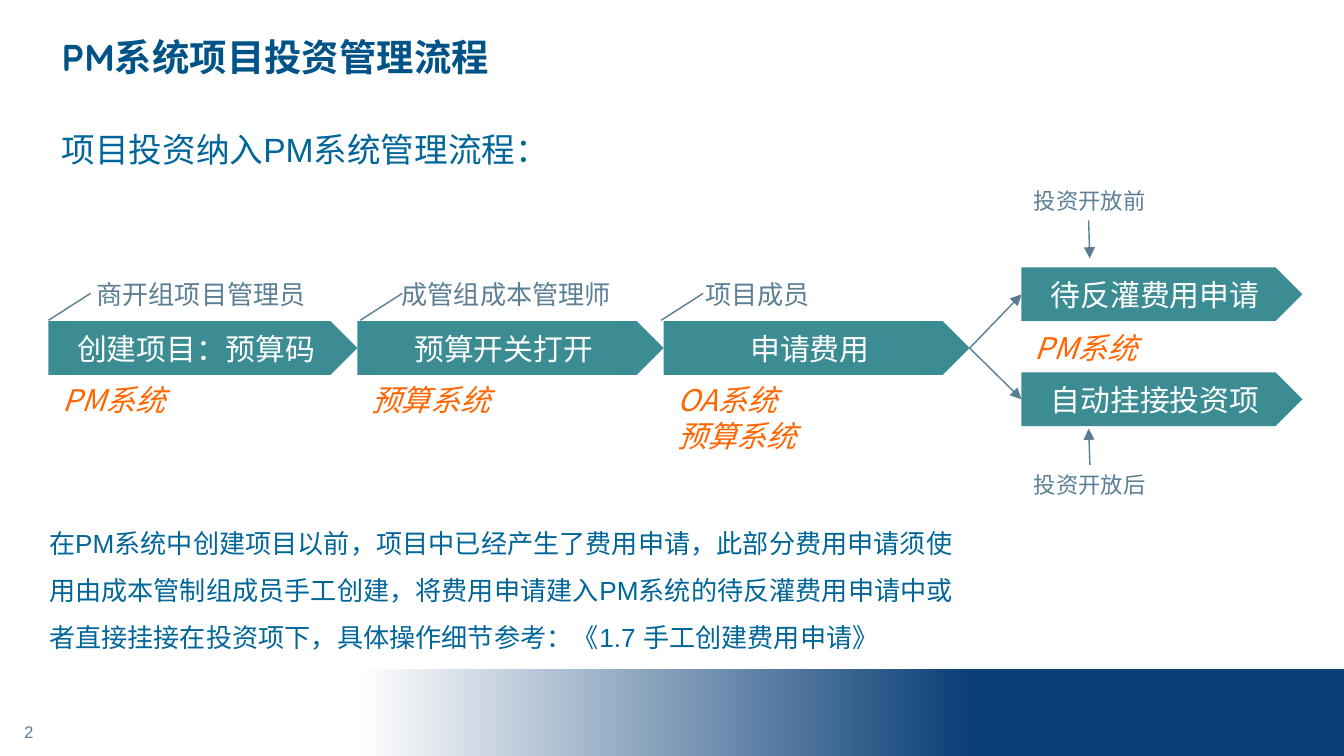
from pptx import Presentation
from pptx.dml.color import RGBColor
from pptx.enum import shapes, text
from pptx.oxml.ns import qn
from pptx.util import Pt
from lxml import etree

TITLE = "PM系统项目投资管理流程"
SUBTITLE = "项目投资纳入PM系统管理流程："
PAGE = "2"
NOTE = (
    "在PM系统中创建项目以前，项目中已经产生了费用申请，此部分费用申请须"
    "使用由成本管制组成员手工创建，将费用申请建入PM系统的待反灌费用申请"
    "中或者直接挂接在投资项下，具体操作细节参考：《1.7 手工创建费用申请》"
)
STEPS = [
    {"name": "创建项目：预算码", "role": "商开组项目管理员", "systems": ["PM系统"],
     "width": 165.5, "role_x": 44.6, "leader_x": 26},
    {"name": "预算开关打开", "role": "成管组成本管理师", "systems": ["预算系统"],
     "width": 164, "role_x": 208.1, "leader_x": 193},
    {"name": "申请费用", "role": "项目成员", "systems": ["OA系统", "预算系统"],
     "width": 164, "role_x": 370.8, "leader_x": 354.2},
]
BRANCHES = [
    {"name": "待反灌费用申请", "y": 143.3, "when": "投资开放前",
     "when_y": 96.5, "arrow": (583.2, 118.1, 583.8, 138.4)},
    {"name": "自动挂接投资项", "y": 199.5, "when": "投资开放后",
     "when_y": 249.1, "arrow": (583.9, 249.1, 583.2, 229.7)},
]
BRANCH_SYSTEM = "PM系统"

THEME = {
    "teal": "3C8C93", "line": "587D93", "white": "FFFFFF", "navy": "0B3F77",
    "east_asian": "Noto Sans CJK SC", "line_width": 0.75,
    "title": {"size": 20, "name": "Quicksand", "color": "005386", "bold": True},
    "subtitle": {"size": 18, "name": "Arial", "color": "006699"},
    "body": {"size": 14, "name": "Arial", "color": "006699"},
    "step": {"size": 16, "name": "Calibri", "color": "FFFFFF"},
    "system": {"size": 16, "name": "Noto Sans CJK SC", "color": "FF6600", "italic": True},
    "role": {"size": 14, "name": "Calibri", "color": "5B7F95"},
    "when": {"size": 12, "name": "Arial", "color": "5B7F95"},
    "page": {"size": 9, "name": "Arial", "color": "5B7F95"},
}
STEP_X, STEP_Y, STEP_H = 26, 172.1, 28.8
BRANCH_X, BRANCH_W = 547.2, 150.5

prs = Presentation()
prs.slide_width, prs.slide_height = Pt(720), Pt(405)
s = prs.slides.add_slide(prs.slide_layouts[6])


def rgb(value):
    return RGBColor.from_string(value)


def write(sp, lines, style, align=None, anchor=None, spacing=None):
    tf = sp.text_frame
    tf.word_wrap = True
    if anchor is not None:
        tf.vertical_anchor = anchor
    for i, line in enumerate(lines):
        p = tf.add_paragraph() if i else tf.paragraphs[0]
        p.alignment = align
        p.line_spacing = spacing
        r = p.add_run()
        r.text = line
        for key, value in THEME[style].items():
            if key == "color":
                r.font.color.rgb = rgb(value)
            else:
                setattr(r.font, key, Pt(value) if key == "size" else value)
        ea = etree.SubElement(r.font._element, qn("a:ea"))
        ea.set("typeface", THEME["east_asian"])


def add_text(x, y, w, h, lines, style, **layout):
    sp = s.shapes.add_textbox(Pt(x), Pt(y), Pt(w), Pt(h))
    write(sp, lines, style, **layout)
    return sp


def add_shape(kind, x, y, w, h):
    sp = s.shapes.add_shape(kind, Pt(x), Pt(y), Pt(w), Pt(h))
    sp.shadow.inherit = False
    sp.line.fill.background()
    return sp


def add_step(x, y, w, name):
    sp = add_shape(shapes.MSO_SHAPE.PENTAGON, x, y, w, STEP_H)
    sp.fill.solid()
    sp.fill.fore_color.rgb = rgb(THEME["teal"])
    write(sp, [name], "step", align=text.PP_ALIGN.CENTER, anchor=text.MSO_ANCHOR.MIDDLE)
    return sp


def add_line(x1, y1, x2, y2, arrow=False):
    c = s.shapes.add_connector(shapes.MSO_CONNECTOR.STRAIGHT, Pt(x1), Pt(y1), Pt(x2), Pt(y2))
    c.line.color.rgb = rgb(THEME["line"])
    c.line.width = Pt(THEME["line_width"])
    if arrow:
        etree.SubElement(c.line._get_or_add_ln(), qn("a:tailEnd")).set("type", "triangle")
    etree.SubElement(c._element.spPr, qn("a:effectLst"))
    return c


band = add_shape(shapes.MSO_SHAPE.RECTANGLE, 26, 358.4, 694, 46.6)
band.fill.gradient()
band.fill.gradient_angle = 0
for stop, position, color in zip(band.fill.gradient_stops, (0.24, 0.71), ("white", "navy")):
    stop.position = position
    stop.color.rgb = rgb(THEME[color])

add_text(0, 378, 31, 28, [PAGE], "page",
         align=text.PP_ALIGN.CENTER, anchor=text.MSO_ANCHOR.MIDDLE)
add_text(26, 6.5, 541.5, 47.5, [TITLE], "title", anchor=text.MSO_ANCHOR.MIDDLE)
add_text(26, 54.7, 653, 36, [SUBTITLE], "subtitle", spacing=1.5)
add_text(19.2, 270.7, 500.4, 83.5, [NOTE], "body", spacing=1.5)

x = STEP_X
for step in STEPS:
    last = add_step(x, STEP_Y, step["width"], step["name"])
    add_text(x + 0.3, STEP_Y + STEP_H, 95, 26.6 * len(step["systems"]), step["systems"], "system")
    add_text(step["role_x"], 145.4, 128.2, 24.5, [step["role"]], "role")
    add_line(step["leader_x"], 171.6, step["leader_x"] + 22.5, 157.2)
    x += step["width"]

for branch in BRANCHES:
    sp = add_step(BRANCH_X, branch["y"], BRANCH_W, branch["name"])
    link = add_line(x, STEP_Y, BRANCH_X, branch["y"], arrow=True)
    link.begin_connect(last, 3)
    link.end_connect(sp, 1)
    add_text(BRANCH_X - 0.5, branch["when_y"], 76, 21.6, [branch["when"]], "when")
    add_line(*branch["arrow"], arrow=True)
add_text(BRANCH_X, 173.3, 88.6, 26.6, [BRANCH_SYSTEM], "system")

prs.save("out.pptx")
